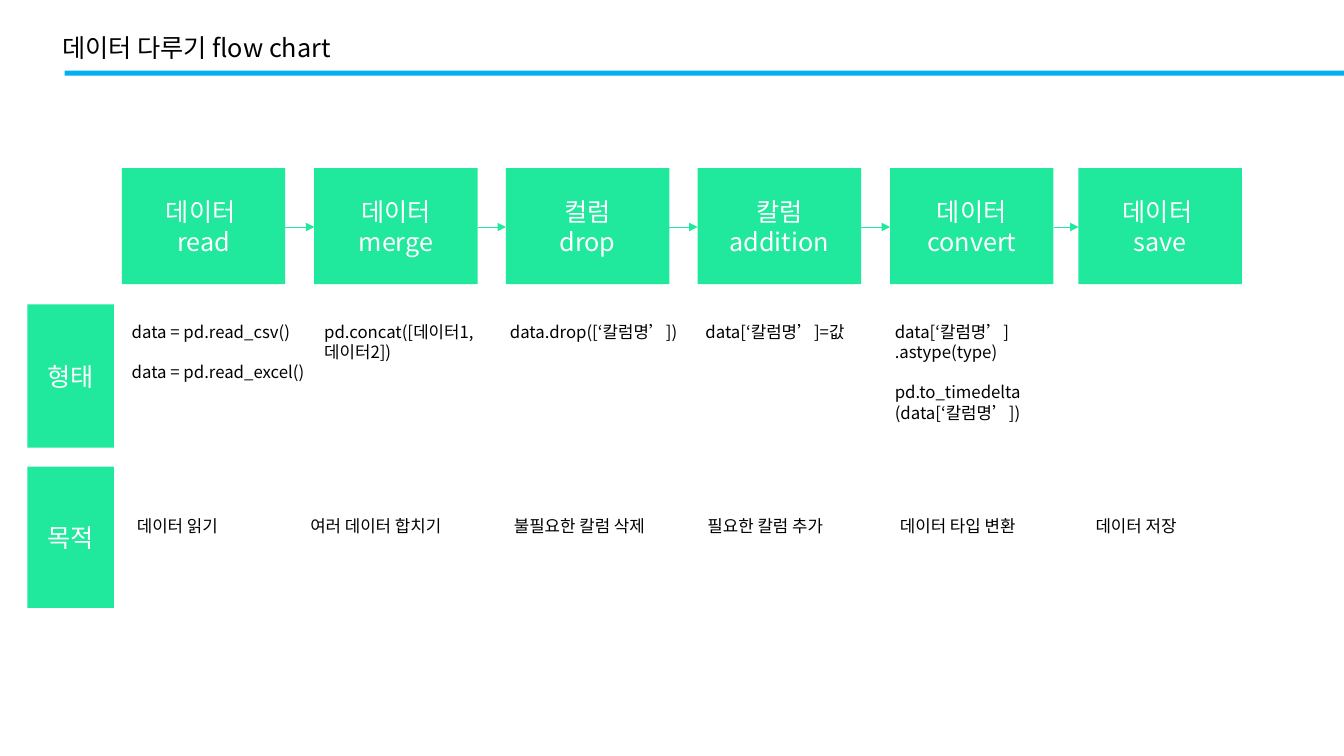
"""Builds the data handling flow chart slide."""
from lxml.etree import SubElement
from pptx import Presentation
from pptx.dml.color import RGBColor
from pptx.enum.shapes import MSO_CONNECTOR as Connector, MSO_SHAPE as Shape
from pptx.enum.text import MSO_ANCHOR as Anchor, PP_ALIGN as Align
from pptx.oxml.ns import qn
from pptx.util import Cm, Pt

FONT = "Noto Sans CJK KR"
COLORS = {"rule": "00B0F0", "box": "20E89C", "label": "FFFFFF", "text": "000000"}

TITLE = "데이터 다루기 flow chart"
# step label, box left, code blocks, code left, purpose, purpose left
STEPS = [
    ("데이터 \nread", 3.07, ["data = pd.read_csv()", "data = pd.read_excel()"], 3.07,
     "데이터 읽기", 3.2),
    ("데이터 merge", 7.92, ["pd.concat([데이터1,\n데이터2])"], 7.92,
     "여러 데이터 합치기", 7.57),
    ("컬럼\ndrop", 12.75, ["data.drop([‘칼럼명’])"], 12.6,
     "불필요한 칼럼 삭제", 12.7),
    ("칼럼 addition", 17.58, ["data[‘칼럼명’]=값"], 17.53,
     "필요한 칼럼 추가", 17.58),
    ("데이터 convert", 22.43,
     ["data[‘칼럼명’]\n.astype(type)", "pd.to_timedelta\n(data[‘칼럼명’])"], 22.3,
     "데이터 타입 변환", 22.43),
    ("데이터 \nsave", 27.18, [], 27.18, "데이터 저장", 27.36),
]
ROWS = [("형태", 7.67, 3.61), ("목적", 11.76, 3.56)]

STEP_TOP, STEP_WIDTH, STEP_HEIGHT = 4.24, 4.12, 2.92
ROW_LEFT, ROW_WIDTH = 0.69, 2.18
ARROW_Y = 5.72
CODE_TOP, PURPOSE_TOP, NOTE_WIDTH = 7.98, 12.87, 5.72
LINE_HEIGHT = 14.4


def color(name):
    return RGBColor.from_string(COLORS[name])


def style(paragraphs, size, ink):
    for paragraph in paragraphs:
        for run in paragraph.runs:
            run.font.name, run.font.size = FONT, Pt(size)
            run.font.color.rgb = color(ink)
            SubElement(run.font._element, qn("a:ea")).set("typeface", FONT)


def add_box(slide, left, top, width, height, fill, label=""):
    box = slide.shapes.add_shape(Shape.RECTANGLE, Cm(left), Cm(top), Cm(width), Cm(height))
    box.shadow.inherit = False
    box.fill.solid()
    box.fill.fore_color.rgb = color(fill)
    box.line.fill.background()
    if label:
        frame = box.text_frame
        frame.word_wrap = True
        frame.vertical_anchor = Anchor.MIDDLE
        frame.text = label
        for paragraph in frame.paragraphs:
            paragraph.alignment = Align.CENTER
        style(frame.paragraphs, 18, "label")


def add_note(slide, left, top, width, height, blocks, size):
    frame = slide.shapes.add_textbox(Cm(left), Cm(top), Cm(width), Cm(height)).text_frame
    frame.word_wrap = True
    frame.text = "\n".join(blocks)
    start = 0
    for block in blocks:
        if start:
            frame.paragraphs[start].space_before = Pt(LINE_HEIGHT)
        start += len(block.split("\n"))
    style(frame.paragraphs, size, "text")


def add_arrow(slide, start, end):
    arrow = slide.shapes.add_connector(
        Connector.STRAIGHT, Cm(start), Cm(ARROW_Y), Cm(end), Cm(ARROW_Y))
    arrow.line.color.rgb = color("box")
    arrow.line.width = Pt(0.5)
    SubElement(arrow.line._get_or_add_ln(), qn("a:tailEnd")).set("type", "triangle")
    SubElement(arrow._element.spPr, qn("a:effectLst"))


def main():
    deck = Presentation()
    deck.slide_width, deck.slide_height = Cm(33.87), Cm(19.05)
    slide = deck.slides.add_slide(deck.slide_layouts[6])

    add_box(slide, 1.63, 1.78, 32.24, 0.13, "rule")
    add_note(slide, 1.32, 0.69, 15.34, 1.02, [TITLE], 18)

    for label, left, codes, code_left, purpose, purpose_left in STEPS:
        add_box(slide, left, STEP_TOP, STEP_WIDTH, STEP_HEIGHT, "box", label)
        if codes:
            lines = sum(len(code.split("\n")) for code in codes) + len(codes) - 1
            add_note(slide, code_left, CODE_TOP, NOTE_WIDTH, 0.26 + 0.51 * lines, codes, 12)
        add_note(slide, purpose_left, PURPOSE_TOP, NOTE_WIDTH, 0.77, [purpose], 12)

    for step, following in zip(STEPS, STEPS[1:]):
        add_arrow(slide, step[1] + STEP_WIDTH, following[1])

    for label, top, height in ROWS:
        add_box(slide, ROW_LEFT, top, ROW_WIDTH, height, "box", label)

    deck.save("out.pptx")


if __name__ == "__main__":
    main()
